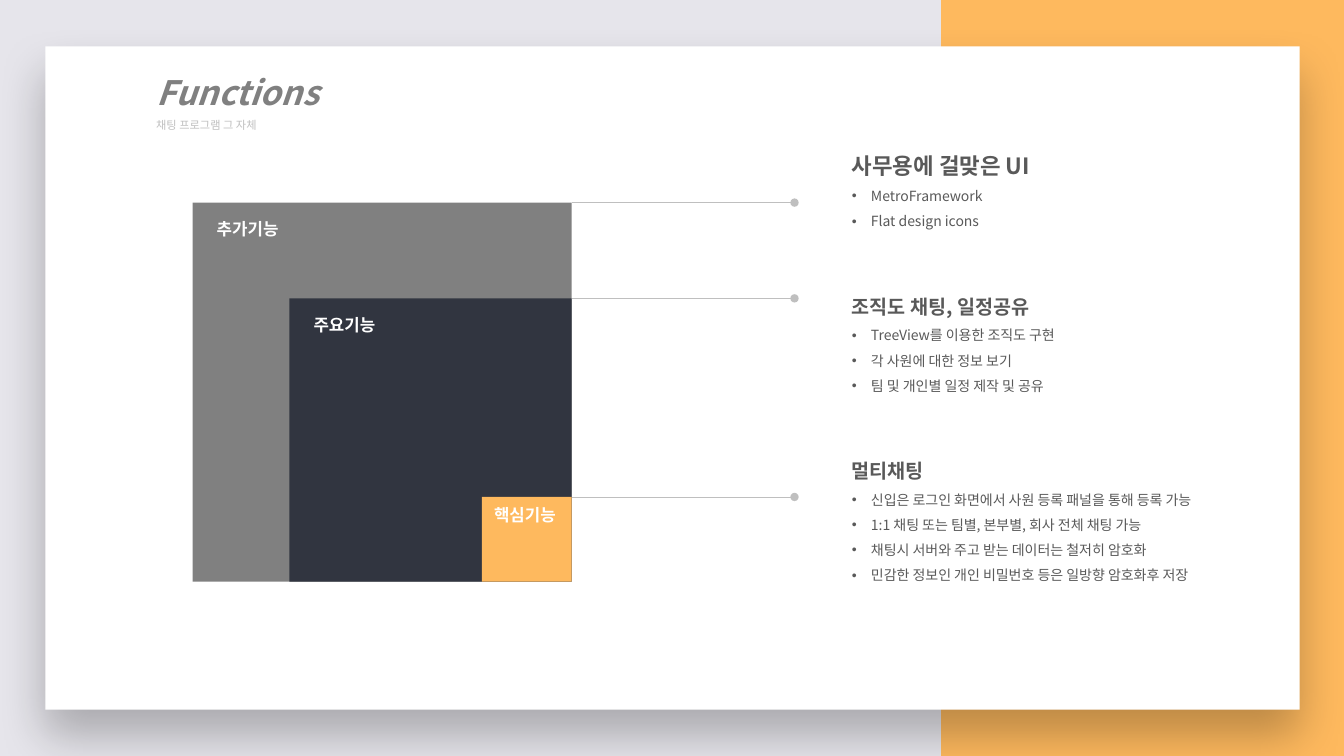
from lxml.etree import SubElement
from pptx import Presentation
from pptx.dml.color import RGBColor
from pptx.enum.shapes import MSO_CONNECTOR, MSO_SHAPE
from pptx.enum.text import MSO_ANCHOR, MSO_AUTO_SIZE, PP_ALIGN
from pptx.oxml import parse_xml
from pptx.oxml.ns import nsdecls, qn
from pptx.util import Inches, Pt

FONT = "Noto Sans CJK KR"
COLORS = {
    "backdrop": "E6E5EB", "accent": "FEB95E", "card": "FFFFFF", "grey": "808080",
    "navy": "313540", "line": "BFBFBF", "text": "595959",
}
TITLE = "Functions"
SUBTITLE = "채팅 프로그램 그 자체"

# label, colour, left, top, left inset, top inset
LAYERS = [
    ("추가기능", "grey", 1.91, 2.01, 0.24, 0.16),
    ("주요기능", "navy", 2.87, 2.96, 0.24, 0.16),
    ("핵심기능", "accent", 4.78, 4.93, 0.12, 0.08),
]
LAYERS_RIGHT, LAYERS_BOTTOM, LINE_END = 5.67, 5.77, 7.88

# heading, heading size, top, height, bullets
DETAILS = [
    ("사무용에 걸맞은 UI", 16, 1.33, 0.98, ["MetroFramework", "Flat design icons"]),
    ("조직도 채팅, 일정공유", 14, 2.76, 1.18, [
        "TreeView를 이용한 조직도 구현",
        "각 사원에 대한 정보 보기",
        "팀 및 개인별 일정 제작 및 공유",
    ]),
    ("멀티채팅", 14, 4.39, 1.43, [
        "신입은 로그인 화면에서 사원 등록 패널을 통해 등록 가능",
        "1:1 채팅 또는 팀별, 본부별, 회사 전체 채팅 가능",
        "채팅시 서버와 주고 받는 데이터는 철저히 암호화",
        "민감한 정보인 개인 비밀번호 등은 일방향 암호화후 저장",
    ]),
]
DETAILS_LEFT, DETAILS_WIDTH = 8.35, 4.06
BULLET_INDENT = 0.19


def color(name):
    return RGBColor.from_string(COLORS[name])


def write(paragraph, text, color_name, spacing=1.5, **font_format):
    paragraph.alignment = PP_ALIGN.LEFT
    paragraph.line_spacing = spacing
    run = paragraph.add_run()
    run.text = text
    for name, value in {"name": FONT, **font_format}.items():
        setattr(run.font, name, value)
    run.font.color.rgb = color(color_name)
    SubElement(run.font._element, qn("a:ea"), typeface=FONT)


def add_bullet(paragraph):
    properties = paragraph._p.get_or_add_pPr()
    properties.set("marL", str(Inches(BULLET_INDENT)))
    properties.set("indent", str(-Inches(BULLET_INDENT)))
    SubElement(properties, qn("a:buFont"), typeface="Arial")
    SubElement(properties, qn("a:buChar"), char="•")


def add_rectangle(slide, left, top, width, height, color_name):
    shape = slide.shapes.add_shape(
        MSO_SHAPE.RECTANGLE, Inches(left), Inches(top), Inches(width), Inches(height))
    shape.shadow.inherit = False
    shape.fill.solid()
    shape.fill.fore_color.rgb = color(color_name)
    shape.line.fill.background()
    return shape


def add_text_box(slide, left, top, width, height):
    box = slide.shapes.add_textbox(Inches(left), Inches(top), Inches(width), Inches(height))
    box.text_frame.word_wrap = True
    return box.text_frame


def paint_background(slide):
    fill = slide.background.fill
    fill.gradient()
    fill.gradient_angle = 0
    for stop, name in zip(fill.gradient_stops, ("backdrop", "accent")):
        stop.position = 0.7
        stop.color.rgb = color(name)


def add_card(slide):
    """Add the white card with its soft shadow, behind the title."""
    card = add_rectangle(slide, 0.45, 0.46, 12.44, 6.58, "card")
    effects = card._element.spPr.find(qn("a:effectLst"))
    effects.append(parse_xml(
        f'<a:outerShdw {nsdecls("a")} blurRad="{Pt(34)}" dist="{Pt(19)}" dir="5400000" '
        'algn="t" rotWithShape="0"><a:srgbClr val="000000"><a:alpha val="25000"/>'
        '</a:srgbClr></a:outerShdw>'))
    slide.shapes._spTree.insert(2, card._element)


def add_titles(slide):
    title = slide.shapes.title
    place = {"left": 1.45, "top": 0.46, "width": 10, "height": 0.7}
    for name, value in place.items():
        setattr(title, name, Inches(value))
    frame = title.text_frame
    frame.auto_size = MSO_AUTO_SIZE.NONE
    frame.vertical_anchor = MSO_ANCHOR.TOP
    write(frame.paragraphs[0], TITLE, "grey", size=Pt(24), bold=True, italic=True)
    subtitle = add_text_box(slide, 1.45, 1.06, 10, 0.3)
    write(subtitle.paragraphs[0], SUBTITLE, "line", size=Pt(8))


def add_layer(slide, label, color_name, left, top, inset_left, inset_top):
    shape = add_rectangle(
        slide, left, top, LAYERS_RIGHT - left, LAYERS_BOTTOM - top, color_name)
    frame = shape.text_frame
    frame.vertical_anchor = MSO_ANCHOR.TOP
    frame.margin_left, frame.margin_top = Inches(inset_left), Inches(inset_top)
    write(frame.paragraphs[0], label, "card", spacing=1.0, size=Pt(12), bold=True)


def add_leader(slide, top):
    leader = slide.shapes.add_connector(
        MSO_CONNECTOR.STRAIGHT, Inches(LAYERS_RIGHT), Inches(top), Inches(LINE_END), Inches(top))
    leader.line.color.rgb = color("line")
    leader.line.width = Pt(0.5)
    SubElement(leader.line._get_or_add_ln(), qn("a:tailEnd"), type="oval")
    SubElement(leader._element.spPr, qn("a:effectLst"))


def add_detail(slide, heading, size, top, height, bullets):
    frame = add_text_box(slide, DETAILS_LEFT, top, DETAILS_WIDTH, height)
    frame.auto_size = MSO_AUTO_SIZE.SHAPE_TO_FIT_TEXT
    write(frame.paragraphs[0], heading, "text", size=Pt(size), bold=True)
    for bullet in bullets:
        paragraph = frame.add_paragraph()
        write(paragraph, bullet, "text", size=Pt(10))
        add_bullet(paragraph)


def main():
    presentation = Presentation()
    presentation.slide_width, presentation.slide_height = Inches(13.33), Inches(7.5)
    slide = presentation.slides.add_slide(presentation.slide_layouts[5])
    paint_background(slide)
    add_card(slide)
    add_titles(slide)
    for layer in LAYERS:
        add_layer(slide, *layer)
    for _, _, _, top, _, _ in LAYERS:
        add_leader(slide, top)
    for detail in DETAILS:
        add_detail(slide, *detail)
    presentation.save("out.pptx")


if __name__ == "__main__":
    main()
